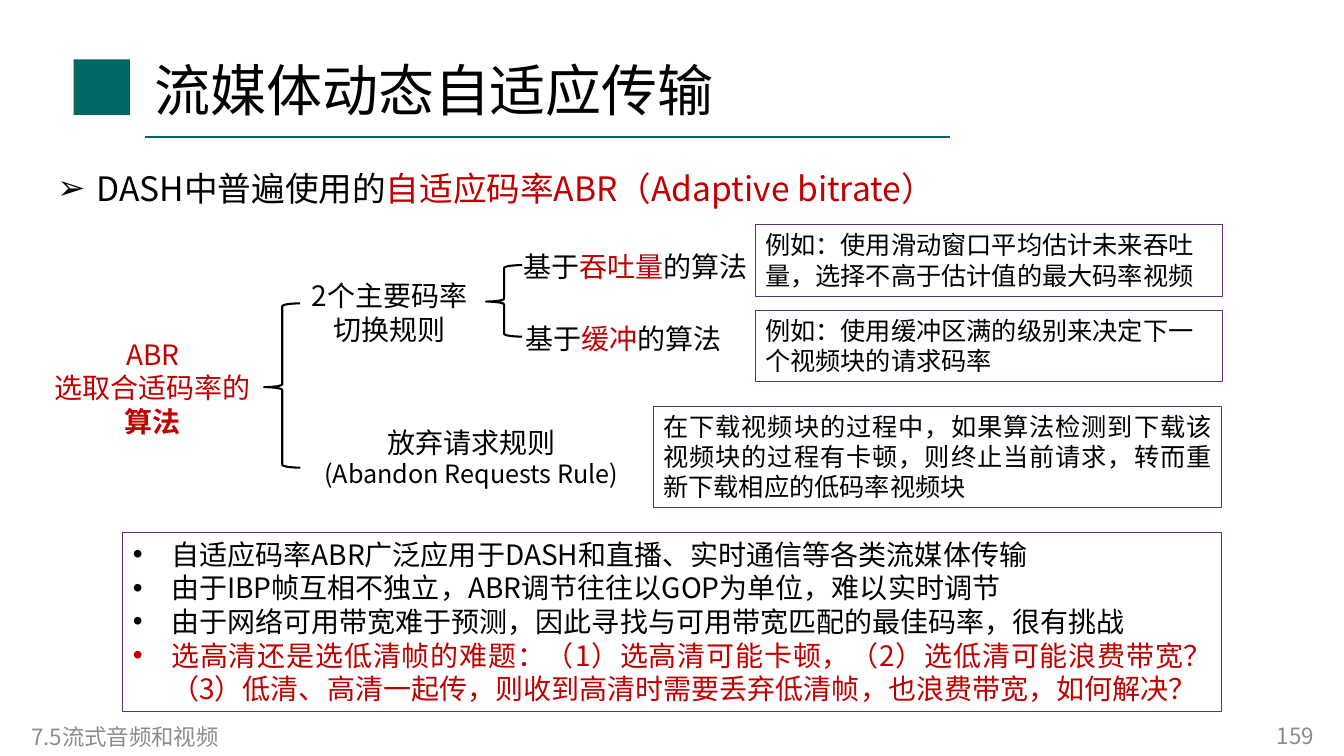
"""Build the slide on adaptive bitrate streaming."""
from dataclasses import dataclass
from typing import Any, Optional

import lxml.etree
import pptx
import pptx.dml.color
import pptx.enum.shapes
import pptx.enum.text
import pptx.oxml.ns
import pptx.util

SCALE = 9144
ALIGN = pptx.enum.text.PP_ALIGN
MIDDLE = pptx.enum.text.MSO_ANCHOR.MIDDLE
TOP = pptx.enum.text.MSO_ANCHOR.TOP
FORM = pptx.enum.shapes.MSO_SHAPE


@dataclass(frozen=True)
class Theme:
    """Colours, font and type sizes in points."""
    font: str = "Noto Sans CJK SC"
    black: str = "000000"
    white: str = "FFFFFF"
    red: str = "C00000"
    grey: str = "8C8C8C"
    teal: str = "006666"
    purple: str = "5B307E"
    title: int = 40
    lead: int = 24
    text: int = 20
    note: int = 18
    foot: int = 16
    thick: float = 1.5
    thin: float = 0.75


THEME = Theme()


@dataclass(frozen=True)
class Run:
    """A stretch of text in one format."""
    text: str
    color: str = THEME.black
    size: int = THEME.text
    bold: bool = False


@dataclass(frozen=True)
class Area:
    """A place on the slide in px."""
    left: int
    top: int
    width: int
    height: int


@dataclass(frozen=True)
class Block:
    """A box of text with its lines of runs."""
    area: Area
    lines: list[list[Run]]
    align: Any = ALIGN.LEFT
    anchor: Any = TOP
    fill: Optional[str] = None
    edge: Optional[str] = None
    wrap: bool = True
    bullet: str = ""
    indent: int = 0
    pitch: int = 0


def note(area: Area, text: str, align: Any = ALIGN.LEFT) -> Block:
    """Describe a framed note."""
    return Block(area, [[Run(text, size=THEME.note)]], align, edge=THEME.purple)


def rule(area: Area, lines: list[list[Run]]) -> Block:
    """Describe a centred node of the tree."""
    return Block(area, lines, ALIGN.CENTER, MIDDLE, fill=THEME.white)


def method(left: int, top: int, width: int, key: str) -> Block:
    """Describe a leaf of the tree with its key word in red."""
    runs = [Run("基于"), Run(key, THEME.red), Run("的算法")]
    return Block(Area(left, top, width, 44), [runs], wrap=False)


TITLE = Block(Area(143, 40, 899, 96),
              [[Run("流媒体动态自适应传输", size=THEME.title)]], anchor=MIDDLE)
LOGO = Area(73, 59, 56, 55)
BRACES = [Area(262, 301, 36, 163), Area(482, 263, 36, 71)]
BLOCKS = [
    Block(Area(21, 713, 215, 37), [[Run("7.5流式音频和视频", THEME.grey, THEME.foot)]]),
    Block(Area(47, 157, 1270, 147),
          [[Run("DASH中普遍使用的", size=THEME.lead),
            Run("自适应码率ABR（Adaptive bitrate）", THEME.red, THEME.lead)]],
          bullet="➢", indent=39, pitch=32),
    rule(Area(300, 412, 335, 83),
         [[Run("放弃请求规则")], [Run("(Abandon Requests Rule)", size=THEME.note)]]),
    rule(Area(44, 324, 215, 121),
         [[Run("ABR", THEME.red)],
          [Run("选取合适码率的", THEME.red), Run("算法", THEME.red, bold=True)]]),
    rule(Area(298, 263, 177, 94), [[Run("2个主要码率")], [Run("切换规则")]]),
    method(509, 243, 245, "吞吐量"),
    method(511, 314, 217, "缓冲"),
    note(Area(648, 403, 564, 101),
         "在下载视频块的过程中，如果算法检测到下载该视频块的过程有卡顿，"
         "则终止当前请求，转而重新下载相应的低码率视频块", ALIGN.JUSTIFY),
    note(Area(749, 223, 464, 71),
         "例如：使用滑动窗口平均估计未来吞吐量，选择不高于估计值的最大码率视频"),
    note(Area(749, 308, 464, 71), "例如：使用缓冲区满的级别来决定下一个视频块的请求码率"),
    Block(Area(122, 528, 1090, 178),
          [[Run("自适应码率ABR广泛应用于DASH和直播、实时通信等各类流媒体传输")],
           [Run("由于IBP帧互相不独立，ABR调节往往以GOP为单位，难以实时调节")],
           [Run("由于网络可用带宽难于预测，因此寻找与可用带宽匹配的最佳码率，很有挑战")],
           [Run("选高清还是选低清帧的难题：（1）选高清可能卡顿，（2）选低清可能浪费带宽？"
                "（3）低清、高清一起传，则收到高清时需要丢弃低清帧，也浪费带宽，如何解决？",
                THEME.red)]],
          ALIGN.JUSTIFY, edge=THEME.purple, bullet="•", indent=38),
    Block(Area(950, 710, 363, 40), [[Run("159", THEME.grey, THEME.foot)]],
          ALIGN.RIGHT, MIDDLE),
]


def px(count: int) -> int:
    """Turn px into EMU."""
    return pptx.util.Emu(count * SCALE)


def place(area: Area) -> tuple[int, int, int, int]:
    """Give left, top, width and height in EMU."""
    return px(area.left), px(area.top), px(area.width), px(area.height)


def tint(code: str) -> pptx.dml.color.RGBColor:
    """Turn a hex code into a colour."""
    return pptx.dml.color.RGBColor.from_string(code)


def add(parent: Any, tag: str, **attrs: str) -> None:
    """Append one XML element to its parent."""
    lxml.etree.SubElement(parent, pptx.oxml.ns.qn(tag), **attrs)


def style(run: Any, spec: Run) -> None:
    """Format one run."""
    font = run.font
    font.name = THEME.font
    font.size = pptx.util.Pt(spec.size)
    font.bold = spec.bold
    font.color.rgb = tint(spec.color)
    add(font._element, "a:ea", typeface=THEME.font)


def write(frame: Any, block: Block) -> None:
    """Fill a text frame with the lines of a block."""
    frame.text = "\n".join("" for _ in block.lines)
    frame.auto_size = pptx.enum.text.MSO_AUTO_SIZE.NONE
    frame.word_wrap = block.wrap
    frame.vertical_anchor = block.anchor
    for para, line in zip(frame.paragraphs, block.lines):
        para.alignment = block.align
        if block.pitch:
            para.line_spacing = pptx.util.Pt(block.pitch)
        if block.bullet:
            props = para._p.get_or_add_pPr()
            props.set("marL", str(px(block.indent)))
            props.set("indent", str(-px(block.indent)))
            add(props, "a:buFont", typeface="Arial")
            add(props, "a:buChar", char=block.bullet)
        for spec in line:
            run = para.add_run()
            run.text = spec.text
            style(run, spec)


def shape(slide: Any, form: Any, area: Area, fill: Optional[str] = None,
          edge: Optional[str] = None, weight: float = THEME.thin) -> Any:
    """Draw a preset shape with its fill and edge."""
    item = slide.shapes.add_shape(form, *place(area))
    item.shadow.inherit = False
    if fill:
        item.fill.solid()
        item.fill.fore_color.rgb = tint(fill)
    else:
        item.fill.background()
    if edge:
        item.line.color.rgb = tint(edge)
        item.line.width = pptx.util.Pt(weight)
    else:
        item.line.fill.background()
    return item


def draw(slide: Any, block: Block) -> None:
    """Draw a block as a shape or a plain text box."""
    if block.fill or block.edge:
        item = shape(slide, FORM.RECTANGLE, block.area, block.fill, block.edge)
    else:
        item = slide.shapes.add_textbox(*place(block.area))
    write(item.text_frame, block)


def main() -> None:
    """Build and save the deck."""
    deck = pptx.Presentation()
    deck.slide_width, deck.slide_height = px(1333), px(750)
    slide = deck.slides.add_slide(deck.slide_layouts[5])
    title = slide.shapes.title
    title.left, title.top, title.width, title.height = place(TITLE.area)
    write(title.text_frame, TITLE)
    shape(slide, FORM.RECTANGLE, LOGO, THEME.teal)
    line = slide.shapes.add_connector(
        pptx.enum.shapes.MSO_CONNECTOR.STRAIGHT, px(144), px(136), px(942), px(136))
    line.line.color.rgb = tint(THEME.teal)
    line.line.width = pptx.util.Pt(THEME.thick)
    add(line._element.spPr, "a:effectLst")
    for area in BRACES:
        brace = shape(slide, FORM.LEFT_BRACE, area, None, THEME.black, THEME.thick)
        brace.adjustments[0], brace.adjustments[1] = 0.08, 0.51
    for block in BLOCKS:
        draw(slide, block)
    deck.save("out.pptx")


if __name__ == "__main__":
    main()
